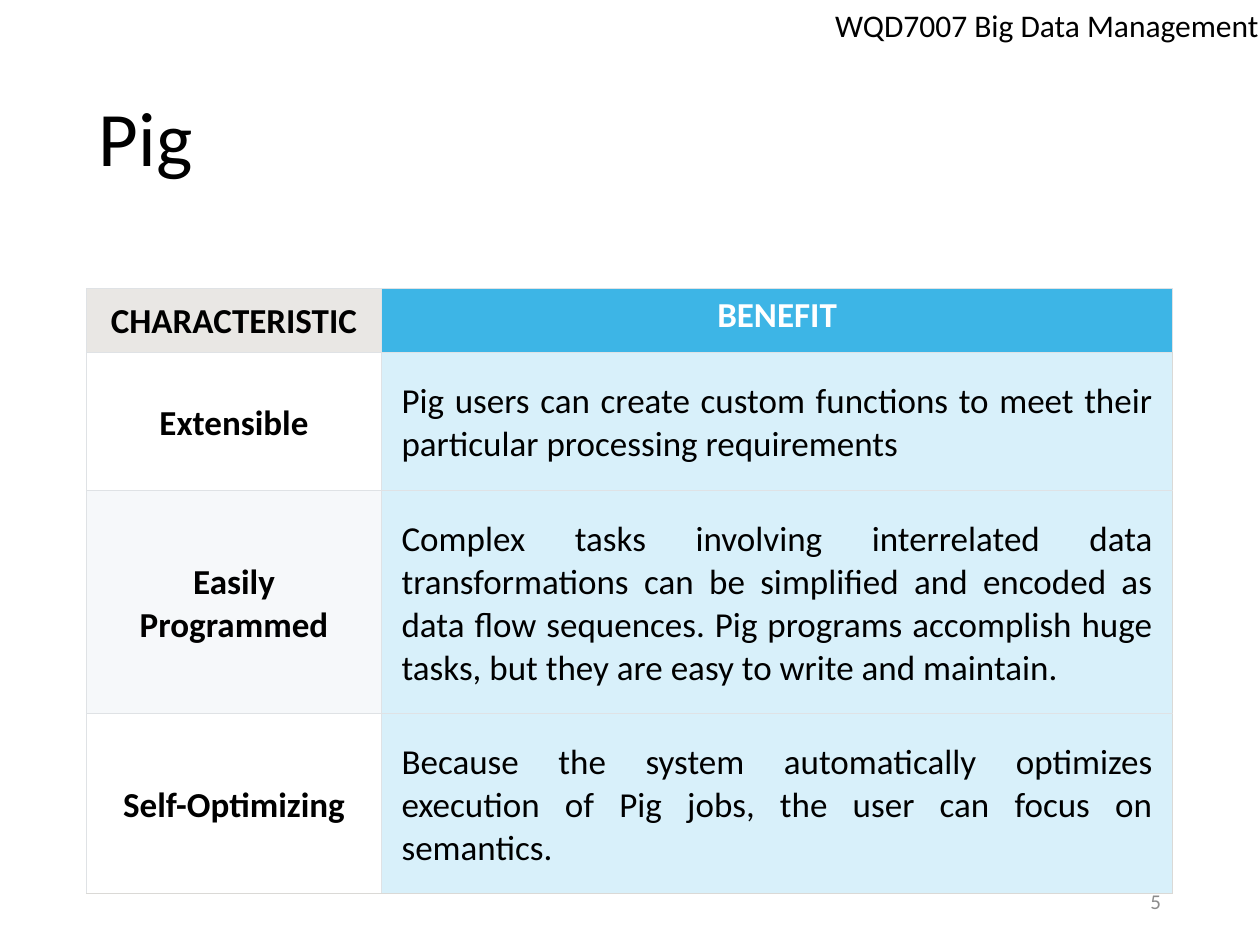
from pptx import Presentation
from pptx.dml.color import RGBColor
from pptx.enum.text import MSO_ANCHOR as Anchor, PP_ALIGN as Align
from pptx.oxml import parse_xml
from pptx.oxml.ns import nsdecls
from pptx.util import Pt

FONT = "Calibri"
BLACK, WHITE, GREY = "000000", "FFFFFF", "8C8C8C"
BORDER, EDGE = "DFE2E5", "DAD9D6"
BENEFIT_FILL = "D8F0FA"

HEADERS = [
    # text, fill, text colour, top and bottom margin
    ("CHARACTERISTIC", "E9E7E4", BLACK, (5, 4.3)),
    ("BENEFIT", "3DB5E6", WHITE, (2.9, 9.4)),
]
ROWS = [
    # characteristic, its fill, benefit, row height
    ("Extensible", WHITE,
     "Pig users can create custom functions to meet their particular "
     "processing requirements", 79),
    ("Easily Programmed", "F6F8FA",
     "Complex tasks involving interrelated data transformations can be "
     "simplified and encoded as data flow sequences. Pig programs accomplish "
     "huge tasks, but they are easy to write and maintain.", 127.5),
    ("Self-Optimizing", WHITE,
     "Because the system automatically optimizes execution of Pig jobs, "
     "the user can focus on semantics.", 103),
]
HEADER_HEIGHT = 36
COLUMN_WIDTHS = [168.5, 452.2]
LEFT, TABLE_TOP = 49.5, 165
BODY_MARGINS = (15.8, 13.7)


def color(value):
    return RGBColor.from_string(value)


def write(frame, text, size, ink=BLACK, bold=False, align=Align.LEFT):
    frame.text = text
    para = frame.paragraphs[0]
    para.alignment = align
    font = para.runs[0].font
    font.name, font.size, font.bold = FONT, Pt(size), bold
    font.color.rgb = color(ink)
    return para


def add_text(page, bounds, text, size, ink=BLACK, align=Align.LEFT,
             anchor=Anchor.MIDDLE, wrap=True):
    box = page.shapes.add_textbox(*map(Pt, bounds))
    frame = box.text_frame
    frame.word_wrap = wrap
    frame.vertical_anchor = anchor
    return write(frame, text, size, ink, align=align)


def set_borders(cell, right, bottom):
    props = cell._tc.get_or_add_tcPr()
    sides = [("lnL", BORDER), ("lnR", right), ("lnT", BORDER), ("lnB", bottom)]
    for index, (side, ink) in enumerate(sides):
        props.insert(index, parse_xml(
            f'<a:{side} {nsdecls("a")} w="{Pt(0.75)}"><a:solidFill>'
            f'<a:srgbClr val="{ink}"/></a:solidFill></a:{side}>'))


def fill_cell(cell, text, fill, ink, bold, align, margins,
              right=BORDER, bottom=BORDER):
    cell.fill.solid()
    cell.fill.fore_color.rgb = color(fill)
    cell.vertical_anchor = Anchor.MIDDLE
    cell.margin_left = cell.margin_right = Pt(11.5)
    cell.margin_top, cell.margin_bottom = map(Pt, margins)
    write(cell.text_frame, text, 20, ink, bold, align)
    set_borders(cell, right, bottom)


def add_benefits_table(page):
    heights = [HEADER_HEIGHT] + [row[-1] for row in ROWS]
    table = page.shapes.add_table(
        len(heights), len(COLUMN_WIDTHS), Pt(LEFT), Pt(TABLE_TOP),
        Pt(sum(COLUMN_WIDTHS)), Pt(sum(heights))).table
    for column, width in zip(table.columns, COLUMN_WIDTHS):
        column.width = Pt(width)
    for row, height in zip(table.rows, heights):
        row.height = Pt(height)

    for index, (text, fill, ink, margins) in enumerate(HEADERS):
        fill_cell(table.cell(0, index), text, fill, ink, True,
                  Align.CENTER, margins)
    for index, (name, fill, benefit, _) in enumerate(ROWS, start=1):
        bottom = EDGE if index == len(ROWS) else BORDER
        fill_cell(table.cell(index, 0), name, fill, BLACK, True,
                  Align.CENTER, BODY_MARGINS, bottom=bottom)
        fill_cell(table.cell(index, 1), benefit, BENEFIT_FILL, BLACK, False,
                  Align.JUSTIFY, BODY_MARGINS, right=EDGE, bottom=bottom)


def main():
    deck = Presentation()
    deck.slide_width, deck.slide_height = Pt(720), Pt(540)
    page = deck.slides.add_slide(deck.slide_layouts[6])

    title = add_text(page, (LEFT, 28.8, 621, 104.4), "Pig", 44)
    title.line_spacing = 0.9
    add_benefits_table(page)
    add_text(page, (508.5, 500.5, 162, 28.8), "5", 12, GREY, Align.RIGHT)
    add_text(page, (470.2, 0, 259.2, 29), "WQD7007 Big Data Management", 18,
             anchor=Anchor.TOP, wrap=False)

    deck.save("out.pptx")


if __name__ == "__main__":
    main()
